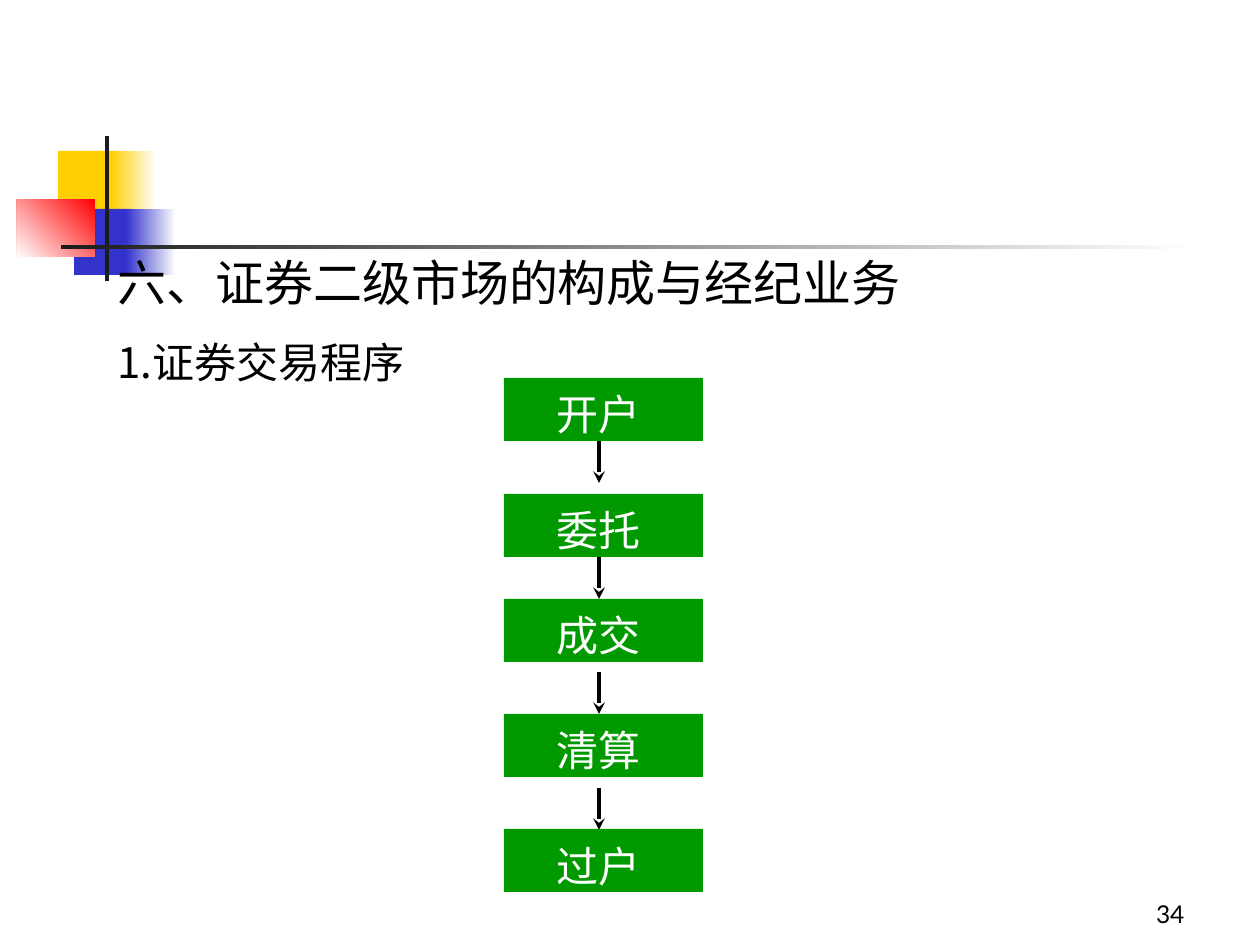
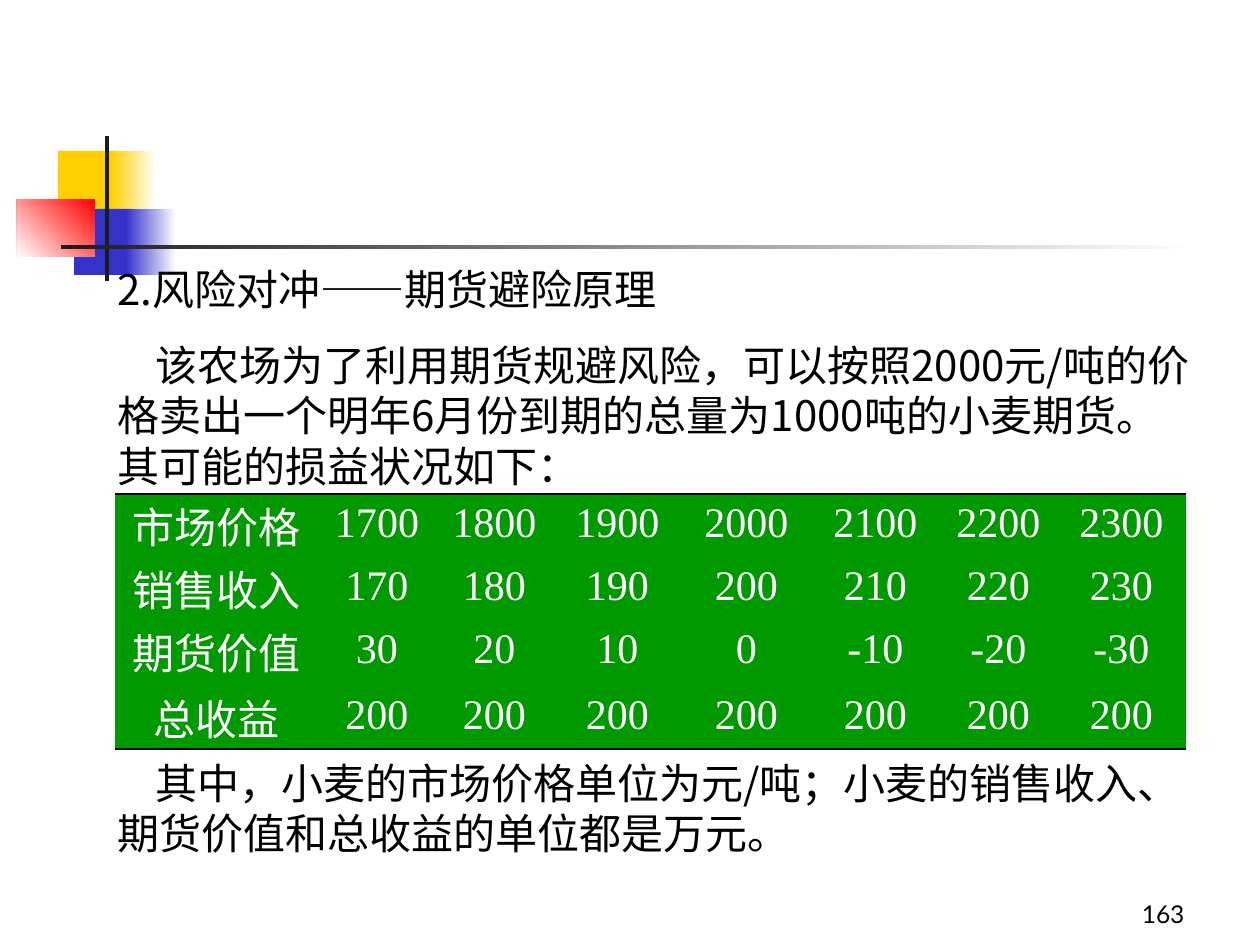
import pptx
import pptx.util
import pptx.oxml
import pptx.oxml.ns
import pptx.dml.color
import pptx.enum.shapes
import pptx.enum.text

Pt = pptx.util.Pt
ALIGN = pptx.enum.text.PP_ALIGN
ANCHOR = pptx.enum.text.MSO_ANCHOR
RECT = pptx.enum.shapes.MSO_SHAPE.RECTANGLE
STRAIGHT = pptx.enum.shapes.MSO_CONNECTOR.STRAIGHT

COLORS = {"black": "000000", "white": "FFFFFF", "green": "009900",
          "yellow": "FFCF01", "blue": "3333CC", "red": "FF0000", "ink": "1C1C1C"}
CJK, LATIN, SERIF = "Noto Sans CJK SC", "Lato", "Times New Roman"
NO_STYLE = "{2D5ABB26-0587-4C30-8999-92F81FD0307C}"
TEXT_LEFT, TEXT_WIDTH = 105, 1102

MOTIF = [
    ((58, 151, 60, 66), ["yellow"], 0),
    ((111, 151, 45, 66), ["white", "yellow"], 180),
    ((74, 209, 58, 66), ["blue"], 0),
    ((126, 209, 50, 66), ["white", "blue"], 180),
    ((17, 199, 78, 58), ["red", "white"], 225),
    ((105, 136, 4, 145), ["ink"], 0),
    ((61, 245, 1134, 4), ["white", "ink"], 180),
]
STEPS = [("开户", 0, 63), ("委托", 116, 179), ("成交", 221, 294),
         ("清算", 336, 410), ("过户", 451, None)]
COLUMNS = [203, 118, 117, 129, 129, 129, 117, 129]
ROWS = [63, 63, 66, 63]
PAYOFFS = [
    ("市场价格", range(1700, 2400, 100)),
    ("销售收入", range(170, 240, 10)),
    ("期货价值", range(30, -40, -10)),
    ("总收益", [200] * 7),
]


def px(n):
    """Turn pixels into EMU."""
    return pptx.util.Emu(round(n * 914400 / 126))


def rgb(name):
    """Look up a named colour."""
    return pptx.dml.color.RGBColor.from_string(COLORS[name])


def set_all(obj, values):
    """Set attributes of an object from a dict."""
    for name, value in values.items():
        setattr(obj, name, value)


def place(sp, box):
    """Move a shape to a box of pixels."""
    set_all(sp, dict(zip(("left", "top", "width", "height"), map(px, box))))


def write(tf, text, size=24, font=CJK, color="black", align=ALIGN.LEFT,
          line=None, indent=0, frame=None):
    """Write one formatted paragraph into a text frame."""
    set_all(tf, {"word_wrap": True, "auto_size": pptx.enum.text.MSO_AUTO_SIZE.NONE,
                 "vertical_anchor": ANCHOR.TOP, **(frame or {})})
    write_paragraph(tf.paragraphs[0], text, size, font, color, align, line, indent)


def write_paragraph(p, text, size, font, color, align, line, indent):
    """Fill a paragraph with one run and its Latin and East Asian fonts."""
    pPr = p._p.get_or_add_pPr()
    pPr.set("marL", "0")
    pPr.set("indent", str(px(indent)))
    pPr.append(pptx.oxml.parse_xml(f'<a:buNone {pptx.oxml.ns.nsdecls("a")}/>'))
    set_all(p, {"alignment": align, "space_before": Pt(0),
                "line_spacing": Pt(line) if line else None})
    r = p.add_run()
    r.text = text
    set_all(r.font, {"size": Pt(size), "name": font, "bold": False})
    r.font.color.rgb = rgb(color)
    rPr = r.font._element
    rPr.find(pptx.oxml.ns.qn("a:latin")).addnext(pptx.oxml.parse_xml(
        f'<a:ea {pptx.oxml.ns.nsdecls("a")} typeface="{CJK}"/>'))


def add_rect(slide, box, colors, angle=0):
    """Add a borderless rectangle with a plain or gradient fill."""
    sp = slide.shapes.add_shape(RECT, *map(px, box))
    sp.shadow.inherit = False
    sp.line.fill.background()
    if len(colors) == 1:
        sp.fill.solid()
        sp.fill.fore_color.rgb = rgb(colors[0])
    else:
        sp.fill.gradient()
        sp.fill.gradient_angle = angle
        for stop, name in zip(sp.fill.gradient_stops, colors):
            stop.color.rgb = rgb(name)
    return sp


def move_motif_to_master(prs, slide):
    """Draw the coloured squares and rules and hand them to the master."""
    tree = prs.slide_master.shapes.element
    for i, (box, colors, angle) in enumerate(MOTIF):
        el = add_rect(slide, box, colors, angle).element
        el.nvSpPr.cNvPr.set("id", str(20 + i))
        tree.insert(2 + i, el)


def add_page(prs, title, body, number, title_box, body_box, title_size=24, indent=0):
    """Add a slide with its title, body text and page number."""
    slide = prs.slides.add_slide(prs.slide_layouts[1])
    title_sp, body_sp = slide.placeholders
    place(title_sp, title_box)
    write(title_sp.text_frame, title, title_size, line=title_size * 1.2)
    place(body_sp, body_box)
    write(body_sp.text_frame, body, line=28.8, indent=indent)
    sp = slide.shapes.add_textbox(*map(px, (935, 872, 262, 63)))
    write(sp.text_frame, str(number), 14, LATIN, align=ALIGN.RIGHT,
          frame={"vertical_anchor": ANCHOR.BOTTOM})
    return slide


def add_arrow(slide, x, top, length):
    """Add a downward arrow."""
    cxn = slide.shapes.add_connector(STRAIGHT, *map(px, (x, top, x, top + length)))
    cxn.line.color.rgb = rgb("black")
    cxn.line.width = Pt(2.25)
    ns = pptx.oxml.ns.nsdecls("a")
    cxn.line._get_or_add_ln().append(pptx.oxml.parse_xml(f'<a:tailEnd {ns} type="stealth"/>'))
    cxn.element.spPr.append(pptx.oxml.parse_xml(f"<a:effectLst {ns}/>"))


def add_trading_flow(slide, left, top, width, height):
    """Stack the trading steps and the arrows between them."""
    frame = {"margin_top": px(11), "margin_bottom": 0, "margin_right": px(23)}
    for name, step_top, arrow_top in STEPS:
        sp = add_rect(slide, (left, top + step_top, width, height), ["green"])
        write(sp.text_frame, name, color="white", align=ALIGN.CENTER,
              line=28.8, frame=frame)
        if arrow_top is not None:
            add_arrow(slide, left + 95, top + arrow_top, 42)


def add_edge(cell, tag):
    """Draw a thin black line on one edge of a cell."""
    cell._tc.get_or_add_tcPr().insert(0, pptx.oxml.parse_xml(
        f'<a:{tag} {pptx.oxml.ns.nsdecls("a")} w="{Pt(1.08)}"><a:solidFill>'
        f'<a:srgbClr val="{COLORS["black"]}"/></a:solidFill></a:{tag}>'))


def add_payoff_table(slide, left, top):
    """Add the table of prices, income and futures values."""
    box = (left, top, sum(COLUMNS), sum(ROWS))
    tbl = slide.shapes.add_table(len(ROWS), len(COLUMNS), *map(px, box)).table
    set_all(tbl, {"first_row": False, "horz_banding": False})
    tbl._tbl.tblPr[0].text = NO_STYLE
    for col, width in zip(tbl.columns, COLUMNS):
        col.width = px(width)
    for i, (label, values) in enumerate(PAYOFFS):
        tbl.rows[i].height = px(ROWS[i])
        for j, text in enumerate([label, *values]):
            cell = tbl.cell(i, j)
            cell.fill.solid()
            cell.fill.fore_color.rgb = rgb("green")
            font, line, margins = (SERIF, None, (6, 6)) if j else (LATIN, 24, (20, 0))
            cell.margin_top, cell.margin_bottom = map(px, margins)
            write_paragraph(cell.text_frame.paragraphs[0], str(text), 24, font,
                            "white", ALIGN.CENTER, line, 0)
            if i == 0:
                add_edge(cell, "lnT")
            if i == len(ROWS) - 1:
                add_edge(cell, "lnB")


def build_trading_slide(prs):
    """Build the slide on the steps of a securities trade."""
    slide = add_page(prs, "六、证券二级市场的构成与经纪业务", "1.证券交易程序", 34,
                     (TEXT_LEFT, 246, 1081, 72), (TEXT_LEFT, 330, 390, 63), 28)
    add_trading_flow(slide, 504, 378, 199, 63)
    return slide


def build_hedging_slide(prs):
    """Build the slide on hedging with futures."""
    slide = add_page(
        prs, "2.风险对冲——期货避险原理",
        "该农场为了利用期货规避风险，可以按照2000元/吨的价格卖出一个明年6月份到期的"
        "总量为1000吨的小麦期货。其可能的损益状况如下：", 163,
        (TEXT_LEFT, 257, TEXT_WIDTH, 63), (TEXT_LEFT, 333, TEXT_WIDTH, 164), indent=38)
    add_payoff_table(slide, 115, 494)
    sp = slide.shapes.add_textbox(*map(px, (TEXT_LEFT, 751, TEXT_WIDTH, 113)))
    write(sp.text_frame, "其中，小麦的市场价格单位为元/吨；小麦的销售收入、"
          "期货价值和总收益的单位都是万元。", line=28.8, indent=38)


def main():
    """Build and save the presentation."""
    prs = pptx.Presentation()
    set_all(prs, {"slide_width": px(1260), "slide_height": px(945)})
    move_motif_to_master(prs, build_trading_slide(prs))
    build_hedging_slide(prs)
    prs.save("out.pptx")


if __name__ == "__main__":
    main()
